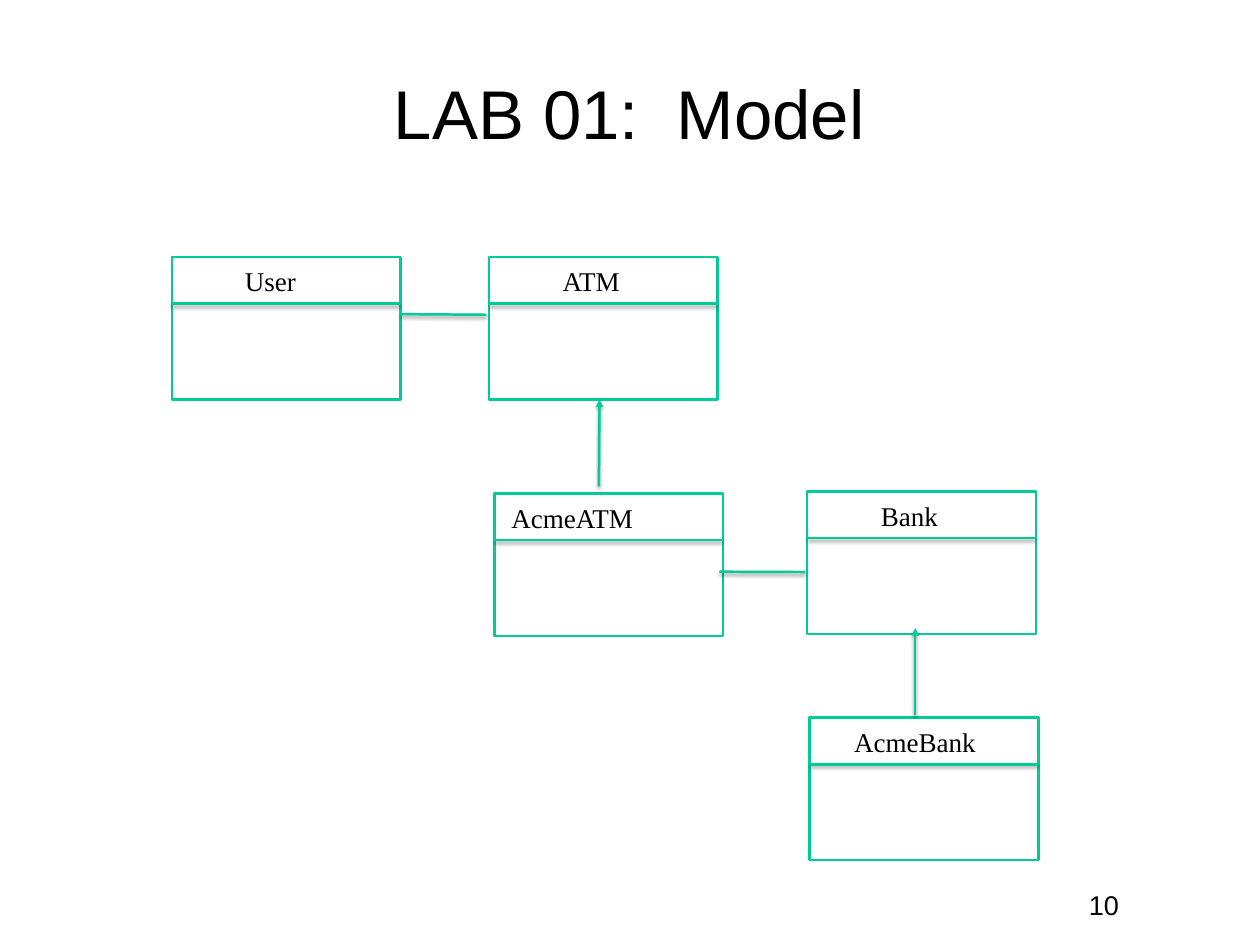
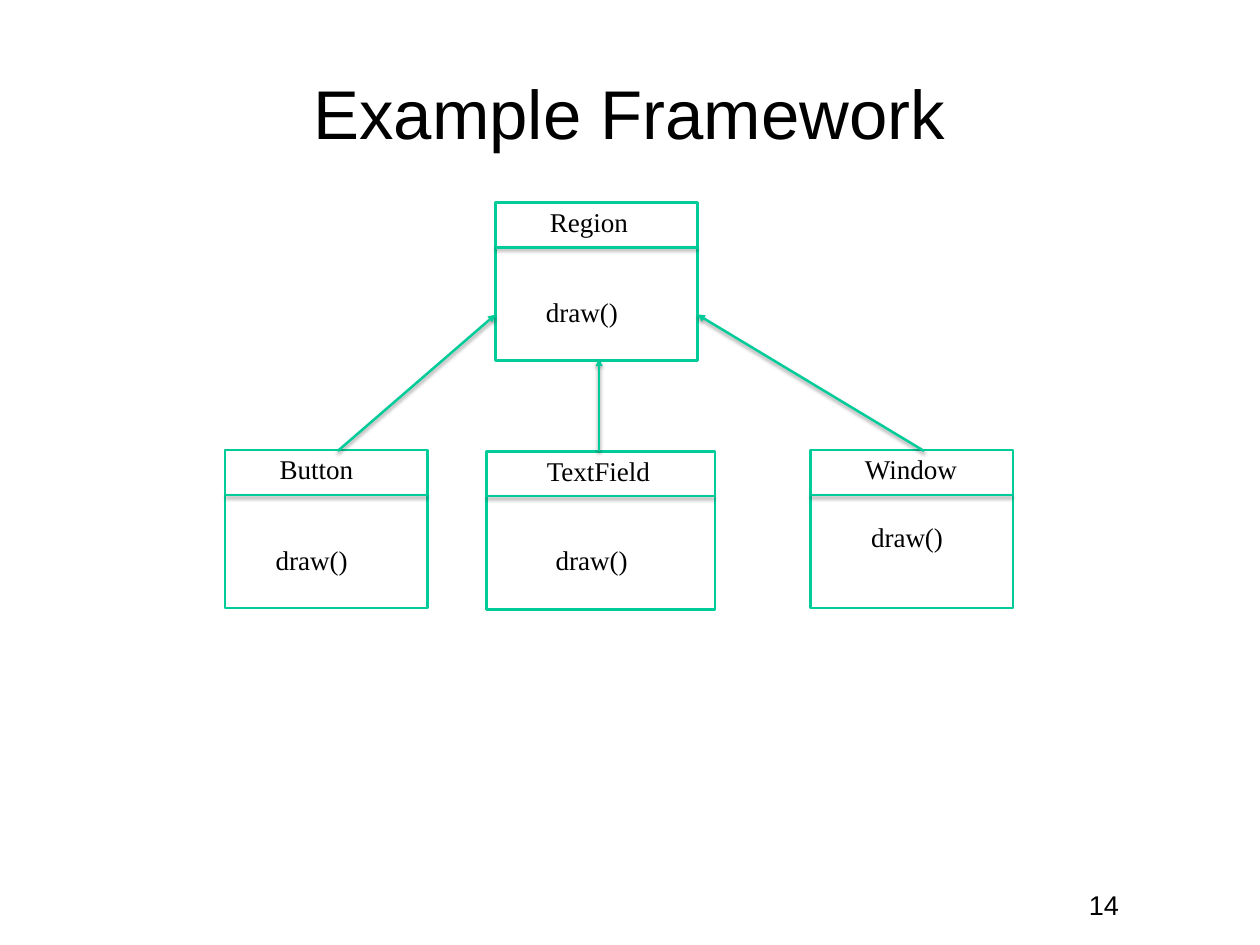
"""Build two slides of class diagrams: a lab model and an example framework."""
from lxml import etree
from pptx import Presentation
from pptx.dml.color import RGBColor
from pptx.enum import shapes, text
from pptx.oxml.ns import qn
from pptx.util import Pt

HUES = {"ink": "000000", "edge": "00CC99", "fill": "FFFFFF"}
SANS, SERIF = "Arial", "Times New Roman"
WIDE, SLIM = 185.8, 164.4
EDGE = 2

# A box is: name, left, top, width, name inset, name width, draw() offset.
# A link is: start x, start y, end x, end y, arrow.
SLIDES = [
    {
        "title": "LAB 01:  Model", "page": "10",
        "high": 115.9, "rule": 38, "drop": 4.2,
        "boxes": [
            ("User", 139.7, 208.8, WIDE, 54.9, 70, None),
            ("ATM", 397.4, 208.8, WIDE, 55.4, 70, None),
            ("AcmeATM", 401.8, 401, WIDE, 9.4, 162.7, None),
            ("AcmeBank", 658, 583.2, WIDE, 31.7, 113.8, None),
            ("Bank", 656, 399.4, WIDE, 55.4, 70, None),
        ],
        "links": [
            (325.4, 255.3, 395.3, 255.8, False),
            (486.7, 395.3, 487.2, 324.7, True),
            (584.6, 464.6, 654.5, 464.9, False),
            (743.8, 581, 743.8, 510.5, True),
        ],
    },
    {
        "title": "Example Framework", "page": "14",
        "high": 128.2, "rule": 36.3, "drop": 0,
        "boxes": [
            ("Window", 658.8, 365.8, SLIM, 39.6, 90, (44.6, 54.7)),
            ("Region", 402.7, 164.7, SLIM, 39.6, 90, (36.5, 72.9)),
            ("Button", 183.1, 365.8, SLIM, 39.6, 90, (36.5, 73.4)),
            ("TextField", 395.3, 367, WIDE, 44.6, 125.3, (51.8, 72.2)),
        ],
        "links": [
            (274.5, 366.5, 402.7, 255.6, True),
            (486.9, 366.5, 486.9, 291.6, True),
            (751, 366.5, 566.8, 255.6, True),
        ],
    },
]


def hue(name):
    return RGBColor.from_string(HUES[name])


def write(host, words, x, y, w, h, size=22, font=SERIF, inset=4.5,
          align=text.PP_ALIGN.LEFT, anchor=text.MSO_ANCHOR.TOP):
    frame = host.add_textbox(Pt(x), Pt(y), Pt(w), Pt(h)).text_frame
    frame.word_wrap = True
    frame.vertical_anchor = anchor
    frame.margin_left = frame.margin_right = Pt(inset)
    frame.margin_top = frame.margin_bottom = Pt(inset)
    para = frame.paragraphs[0]
    para.alignment, para.line_spacing = align, 0.93
    run = para.add_run()
    run.text = words
    run.font.name, run.font.size = font, Pt(size)
    run.font.color.rgb = hue("ink")


def link(host, x1, y1, x2, y2, arrow=False):
    line = host.add_connector(shapes.MSO_CONNECTOR.STRAIGHT,
                              Pt(x1), Pt(y1), Pt(x2), Pt(y2))
    line.line.color.rgb = hue("edge")
    line.line.width = Pt(EDGE)
    props = line._element.spPr
    if arrow:
        etree.SubElement(props.find(qn("a:ln")), qn("a:tailEnd"),
                         type="triangle")
    glow = etree.SubElement(etree.SubElement(props, qn("a:effectLst")),
                            qn("a:outerShdw"), blurRad=str(Pt(3)),
                            dist=str(Pt(2)), dir="5400000", rotWithShape="0")
    shade = etree.SubElement(glow, qn("a:srgbClr"), val=HUES["ink"])
    etree.SubElement(shade, qn("a:alpha"), val="38000")


def box(page, name, x, y, w, inset, span, high, rule, drop):
    host = page.shapes.add_group_shape().shapes
    rect = host.add_shape(shapes.MSO_SHAPE.RECTANGLE,
                          Pt(x), Pt(y), Pt(w), Pt(high))
    rect.shadow.inherit = False
    rect.fill.solid()
    rect.fill.fore_color.rgb = hue("fill")
    rect.line.color.rgb = hue("edge")
    rect.line.width = Pt(EDGE)
    link(host, x, y + rule, x + w, y + rule)
    write(host, name, x + inset, y + drop, span, 34.6)


def draw(deck, plan):
    page = deck.slides.add_slide(deck.slide_layouts[6])
    write(page.shapes, plan["page"], 884.9, 724.3, 49.7, 25.2,
          font=SANS, inset=0)
    write(page.shapes, plan["title"], 51.1, 9.4, 920.9, 170.6, size=56,
          font=SANS, inset=0, align=text.PP_ALIGN.CENTER,
          anchor=text.MSO_ANCHOR.MIDDLE)
    for *item, _ in plan["boxes"]:
        box(page, *item, plan["high"], plan["rule"], plan["drop"])
    for item in plan["links"]:
        link(page.shapes, *item)
    for _, x, y, *_, shift in plan["boxes"]:
        if shift:
            write(page.shapes, "draw()", x + shift[0], y + shift[1], 80, 34.6)


deck = Presentation()
deck.slide_width, deck.slide_height = Pt(1024), Pt(768)
for plan in SLIDES:
    draw(deck, plan)
deck.save("out.pptx")
